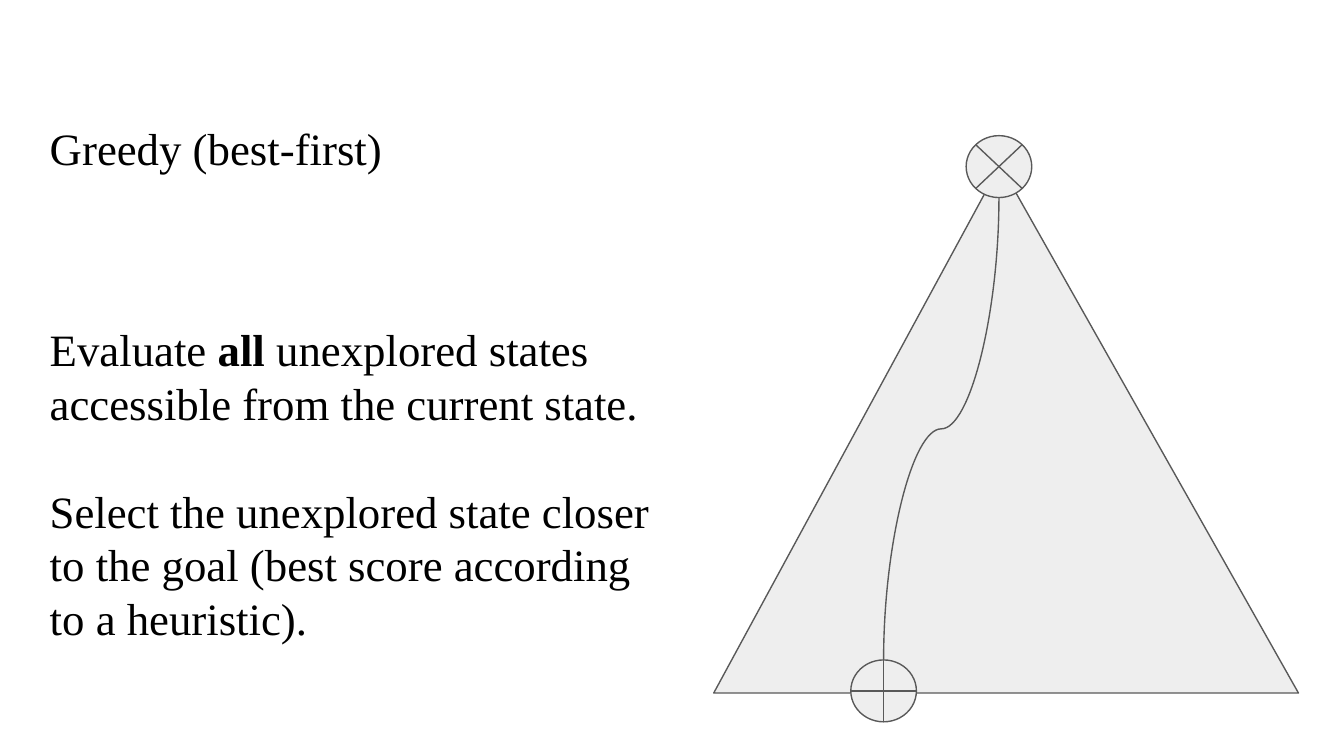
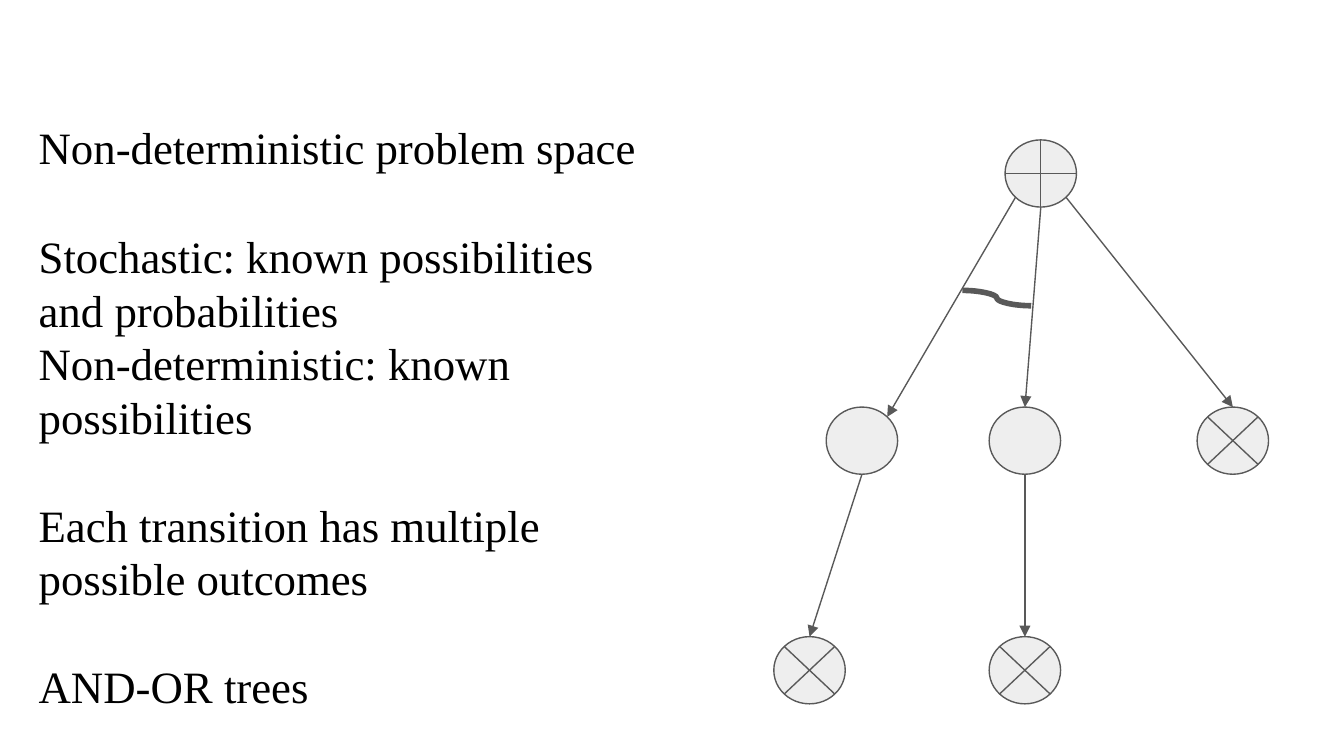
from collections import namedtuple
from math import sqrt

from lxml.etree import SubElement
from pptx import Presentation
from pptx.dml.color import RGBColor
from pptx.enum.shapes import MSO_CONNECTOR as Link, MSO_SHAPE as Preset
from pptx.enum.text import MSO_ANCHOR, MSO_AUTO_SIZE, PP_ALIGN
from pptx.oxml.ns import qn
from pptx.util import Cm, Pt

INK = RGBColor(0x00, 0x00, 0x00)
OUTLINE = RGBColor(0x59, 0x59, 0x59)
FILL = RGBColor(0xEE, 0xEE, 0xEE)
FONT = "Times New Roman"
LINE_HEIGHT = Pt(28.8)
THIN, THICK = Pt(0.75), Pt(3)
DIAGONAL = sqrt(0.5)

START, STATE, GOAL = Preset.FLOWCHART_OR, Preset.OVAL, Preset.FLOWCHART_SUMMING_JUNCTION
TOP, BOTTOM = (0, -1), (0, 1)
BOTTOM_LEFT, BOTTOM_RIGHT = (-DIAGONAL, DIAGONAL), (DIAGONAL, DIAGONAL)
TOP_RIGHT = (DIAGONAL, -DIAGONAL)

Node = namedtuple("Node", "shape x y width height")


def fill_text(placeholder, area, paragraphs):
    """Place a placeholder and write (space before, [(text, bold), ...]) paragraphs."""
    placeholder.left, placeholder.top, placeholder.width, placeholder.height = map(Cm, area)
    frame = placeholder.text_frame
    frame.word_wrap = True
    frame.auto_size = MSO_AUTO_SIZE.NONE
    frame.vertical_anchor = MSO_ANCHOR.TOP
    frame.margin_left = frame.margin_right = frame.margin_top = frame.margin_bottom = Cm(0.25)
    for index, (gap, runs) in enumerate(paragraphs):
        paragraph = frame.add_paragraph() if index else frame.paragraphs[0]
        properties = paragraph._p.get_or_add_pPr()
        properties.set("marL", "0")
        properties.set("indent", "0")
        SubElement(properties, qn("a:buNone"))
        paragraph.alignment = PP_ALIGN.LEFT
        paragraph.line_spacing = LINE_HEIGHT
        paragraph.space_before = gap
        paragraph.space_after = Pt(0)
        for text, bold in runs:
            run = paragraph.add_run()
            run.text = text
            run.font.name = FONT
            run.font.size = Pt(24)
            run.font.bold = bold
            run.font.color.rgb = INK


def add_text_slide(deck, heading, points, left, top, body_top, width):
    """Add a slide with its heading and points in the left column."""
    slide = deck.slides.add_slide(deck.slide_layouts[1])
    fill_text(slide.shapes.title, (left, top, width, 1.5), [(Pt(0), [(heading, False)])])
    fill_text(slide.placeholders[1], (left, body_top, width, 14.02 - body_top), points)
    return slide


def add_figure(slide, preset, left, top, width, height):
    """Add a grey outlined shape."""
    figure = slide.shapes.add_shape(preset, Cm(left), Cm(top), Cm(width), Cm(height))
    figure.shadow.inherit = False
    figure.fill.solid()
    figure.fill.fore_color.rgb = FILL
    figure.line.color.rgb = OUTLINE
    figure.line.width = THIN
    return figure


def add_node(slide, preset, x, y, width=1.35, height=1.27):
    """Add a search state centred on a point."""
    shape = add_figure(slide, preset, x - width / 2, y - height / 2, width, height)
    return Node(shape, x, y, width, height)


def rim(node, side):
    """Return the point of a node's outline in a direction."""
    return node.x + side[0] * node.width / 2, node.y + side[1] * node.height / 2


def add_link(slide, kind, begin, end, weight=THIN):
    """Add a connector between two points."""
    link = slide.shapes.add_connector(kind, *map(Cm, (*begin, *end)))
    link.line.color.rgb = OUTLINE
    link.line.width = weight
    SubElement(link._element.spPr, qn("a:effectLst"))
    return link


def add_transition(slide, source, source_side, target, target_side=TOP):
    """Add an arrow from one state to the next."""
    arrow = add_link(slide, Link.STRAIGHT, rim(source, source_side), rim(target, target_side))
    SubElement(arrow.line._get_or_add_ln(), qn("a:tailEnd"), type="triangle")
    if target_side == TOP:
        arrow.end_connect(target.shape, 0)


def add_rising_path(slide, lower, upper):
    """Add a curve that leaves and enters its nodes vertically."""
    (x1, y1), (x2, y2) = rim(lower, TOP), rim(upper, BOTTOM)
    middle_x, middle_y = (x1 + x2) / 2, (y1 + y2) / 2
    half_length, half_breadth = (y1 - y2) / 2, (x2 - x1) / 2
    path = add_link(slide, Link.CURVE,
                    (middle_x - half_length, middle_y - half_breadth),
                    (middle_x + half_length, middle_y + half_breadth))
    path._element.spPr.find(qn("a:xfrm")).set("rot", str(270 * 60000))


def build_greedy(deck):
    """Show greedy search through the state space."""
    slide = add_text_slide(deck, "Greedy (best-first)", [
        (Pt(0), [("Evaluate ", False), ("all", True),
                 (" unexplored states accessible from the current state.", False)]),
        (LINE_HEIGHT, [("Select the unexplored state closer to the goal "
                        "(best score according to a heuristic).", False)]),
    ], left=0.69, top=2.03, body_top=5.84, width=12.01)
    state_space = add_figure(slide, Preset.ISOSCELES_TRIANGLE, 13.49, 3.12, 11.05, 9.98)
    state_space.adjustments[0] = 0.49
    start = add_node(slide, START, 16.7, 13.06, 1.24, 1.17)
    goal = add_node(slide, GOAL, 18.88, 3.15, 1.24, 1.17)
    add_rising_path(slide, start, goal)


def build_non_deterministic(deck):
    """Show an AND-OR tree beside its explanation."""
    slide = add_text_slide(deck, "Non-deterministic problem space", [
        (Pt(0), [("Stochastic: known possibilities and probabilities", False)]),
        (Pt(0), [("Non-deterministic: known possibilities", False)]),
        (LINE_HEIGHT, [("Each transition has multiple possible outcomes", False)]),
        (LINE_HEIGHT, [("AND-OR trees", False)]),
    ], left=0.48, top=2.01, body_top=4.07, width=11.91)
    root_y, outcome_y, leaf_y = 3.28, 8.33, 12.67
    root = add_node(slide, START, 19.67, root_y)
    left_goal = add_node(slide, GOAL, 15.3, leaf_y)
    middle_goal = add_node(slide, GOAL, 19.37, leaf_y)
    right_goal = add_node(slide, GOAL, 23.3, outcome_y)
    left_state = add_node(slide, STATE, 16.29, outcome_y)
    middle_state = add_node(slide, STATE, 19.37, outcome_y)
    add_transition(slide, root, BOTTOM_LEFT, left_state, TOP_RIGHT)
    add_transition(slide, root, BOTTOM, middle_state)
    add_transition(slide, root, BOTTOM_RIGHT, right_goal)
    add_link(slide, Link.CURVE, (18.19, 5.49), (19.49, 5.78), THICK)
    add_transition(slide, left_state, BOTTOM, left_goal)
    add_transition(slide, middle_state, BOTTOM, middle_goal)


def main():
    """Build both slides and save the deck."""
    deck = Presentation()
    deck.slide_width, deck.slide_height = Cm(25.4), Cm(14.29)
    build_greedy(deck)
    build_non_deterministic(deck)
    deck.save("out.pptx")


if __name__ == "__main__":
    main()
